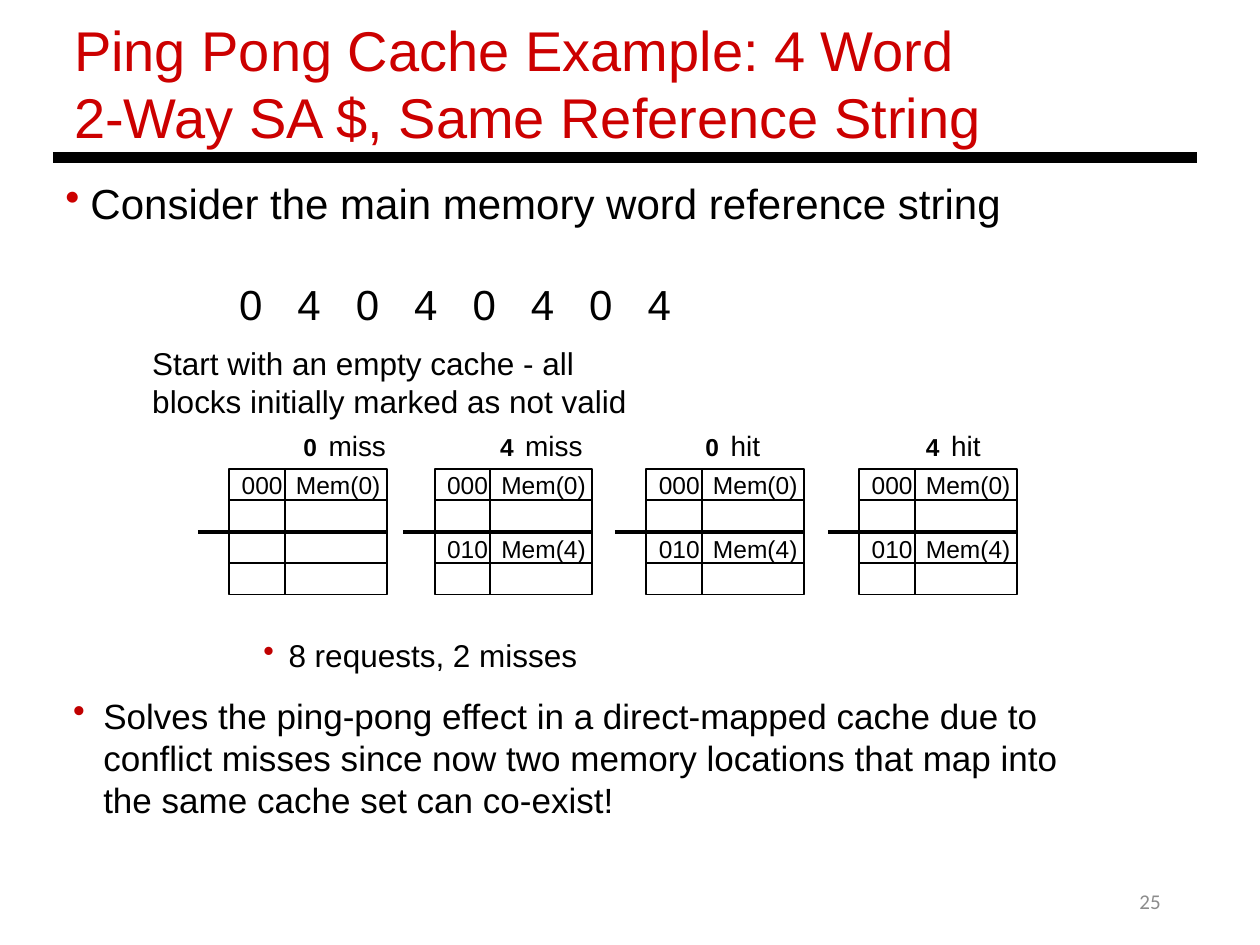
from lxml import etree
from pptx import Presentation
from pptx.dml.color import RGBColor
from pptx.enum.shapes import MSO_CONNECTOR, MSO_SHAPE
from pptx.enum.text import MSO_ANCHOR, PP_ALIGN
from pptx.oxml.ns import qn
from pptx.util import Inches, Pt

STRAIGHT = MSO_CONNECTOR.STRAIGHT
RECTANGLE = MSO_SHAPE.RECTANGLE
MIDDLE = MSO_ANCHOR.MIDDLE
RIGHT = PP_ALIGN.RIGHT

THEME = {
    "black": "000000", "title_red": "CC0000", "bullet_red": "C00000", "gray": "8C8C8C",
    "title": 32, "lead": 24, "body": 20, "note": 18, "result": 16, "cell": 14, "number": 12,
}


def add_text(box, text, size, color="black", font="Arial", bold=False, wrap=True,
             insets=(0.1, 0.05, 0.1, 0.05), bullet=None, indent=(0, 0), tabs=()):
    """Add a one-paragraph text box; indent is left margin and first-line offset."""
    frame = slide.shapes.add_textbox(*map(Inches, box)).text_frame
    margins = dict(zip(("margin_left", "margin_top", "margin_right", "margin_bottom"),
                       map(Inches, insets)))
    for name, value in {"word_wrap": wrap, **margins}.items():
        setattr(frame, name, value)
    paragraph = frame.paragraphs[0]
    properties = paragraph._p.get_or_add_pPr()
    if bullet:
        properties.set("marL", str(Inches(indent[0])))
        properties.set("indent", str(Inches(indent[1])))
        bullet_color = etree.SubElement(properties, qn("a:buClr"))
        etree.SubElement(bullet_color, qn("a:srgbClr"), val=THEME[bullet])
        etree.SubElement(properties, qn("a:buChar"), char="•")
    if tabs:
        tab_list = etree.SubElement(properties, qn("a:tabLst"))
        for position in tabs:
            etree.SubElement(tab_list, qn("a:tab"), pos=str(Inches(position)), algn="l")
    run = paragraph.add_run()
    run.text = text
    for name, value in {"name": font, "size": Pt(THEME[size]), "bold": bold}.items():
        setattr(run.font, name, value)
    run.font.color.rgb = RGBColor.from_string(THEME[color])
    return frame


def add_rule(left, right, y, width):
    """Add a horizontal black line."""
    line = slide.shapes.add_connector(STRAIGHT, Inches(left), Inches(y), Inches(right), Inches(y))
    line.line.color.rgb = RGBColor.from_string(THEME["black"])
    line.line.width = Pt(width)
    etree.SubElement(line._element.spPr, qn("a:effectLst"))


presentation = Presentation()
presentation.slide_width = Inches(10)
presentation.slide_height = Inches(7.5)
slide = presentation.slides.add_slide(presentation.slide_layouts[6])

# Page number, title and title rule
number = add_text((7.06, 6.95, 2.25, 0.4), "25", "number", "gray", "Calibri")
number.vertical_anchor = MIDDLE
number.paragraphs[0].alignment = RIGHT
add_text((0.49, 0.07, 7.7, 1.18),
         "Ping Pong Cache Example: 4 Word 2-Way SA $, Same Reference String",
         "title", "title_red")
add_rule(0.42, 9.5, 1.25, 6)

# Reference string, one tab stop per word address
add_text((0.42, 1.36, 9.04, 0.5), "Consider the main memory word reference string",
         "lead", bullet="title_red", indent=(0.2, -0.2))
add_text((0.42, 2.16, 9.04, 0.5), "".join(f"\t{address}" for address in "04040404"),
         "lead", tabs=[1.38 + 0.463 * step for step in range(8)])
add_text((1.11, 2.68, 4.29, 0.71),
         "Start with an empty cache - all blocks initially marked as not valid", "note")

# Cache states: left edge, request offset, request, result, result width, stored blocks
TAG_WIDTH, DATA_WIDTH = 0.44, 0.81
CACHE_TOP, ROW_HEIGHT, ROWS = 3.72, 0.25, 4
BLOCK_0, BLOCK_4 = (3.68, "000\tMem(0)"), (4.19, "010\tMem(4)")
states = [
    (1.82, 0.49, "0", "miss", 0.66, [BLOCK_0]),
    (3.45, 0.42, "4", "miss", 0.66, [BLOCK_0, BLOCK_4]),
    (5.13, 0.37, "0", "hit", 0.44, [BLOCK_0, BLOCK_4]),
    (6.82, 0.43, "4", "hit", 0.44, [BLOCK_0, BLOCK_4]),
]
for left, offset, request, result, result_width, blocks in states:
    # Tag and data columns with their row lines
    for column_left, width in ((left, TAG_WIDTH), (left + TAG_WIDTH, DATA_WIDTH)):
        column = slide.shapes.add_shape(RECTANGLE, Inches(column_left), Inches(CACHE_TOP),
                                        Inches(width), Inches(ROWS * ROW_HEIGHT))
        column.shadow.inherit = False
        column.fill.background()
        column.line.color.rgb = RGBColor.from_string(THEME["black"])
        column.line.width = Pt(1)
        for row in range(1, ROWS):
            add_rule(column_left, column_left + width, CACHE_TOP + row * ROW_HEIGHT, 1)

    # Divider between the two ways
    add_rule(left - 0.25, left + TAG_WIDTH + DATA_WIDTH, CACHE_TOP + 2 * ROW_HEIGHT, 2.25)

    # Request, its result and the stored blocks
    add_text((left + offset, 3.38, 0.31, 0.34), request, "cell", bold=True, wrap=False)
    add_text((left + offset + 0.2, 3.35, result_width, 0.37), result, "result", wrap=False)
    for block_top, block in blocks:
        add_text((left, block_top, 1.31, 0.34), block, "cell",
                 insets=(0.1, 0.05, 0, 0.05), tabs=[0.43])

# Conclusions
TIGHT = (0.05, 0.02, 0.05, 0.02)
add_text((0.53, 5.49, 8.04, 1.05),
         "Solves the ping-pong effect in a direct-mapped cache due to conflict misses since "
         "now two memory locations that map into the same cache set can co-exist!",
         "body", insets=TIGHT, bullet="bullet_red", indent=(0.24, -0.24))
add_text((1.63, 5.03, 6.69, 0.35), "8 requests, 2 misses", "note",
         insets=TIGHT, bullet="bullet_red", indent=(0.61, -0.2))

presentation.save("out.pptx")
